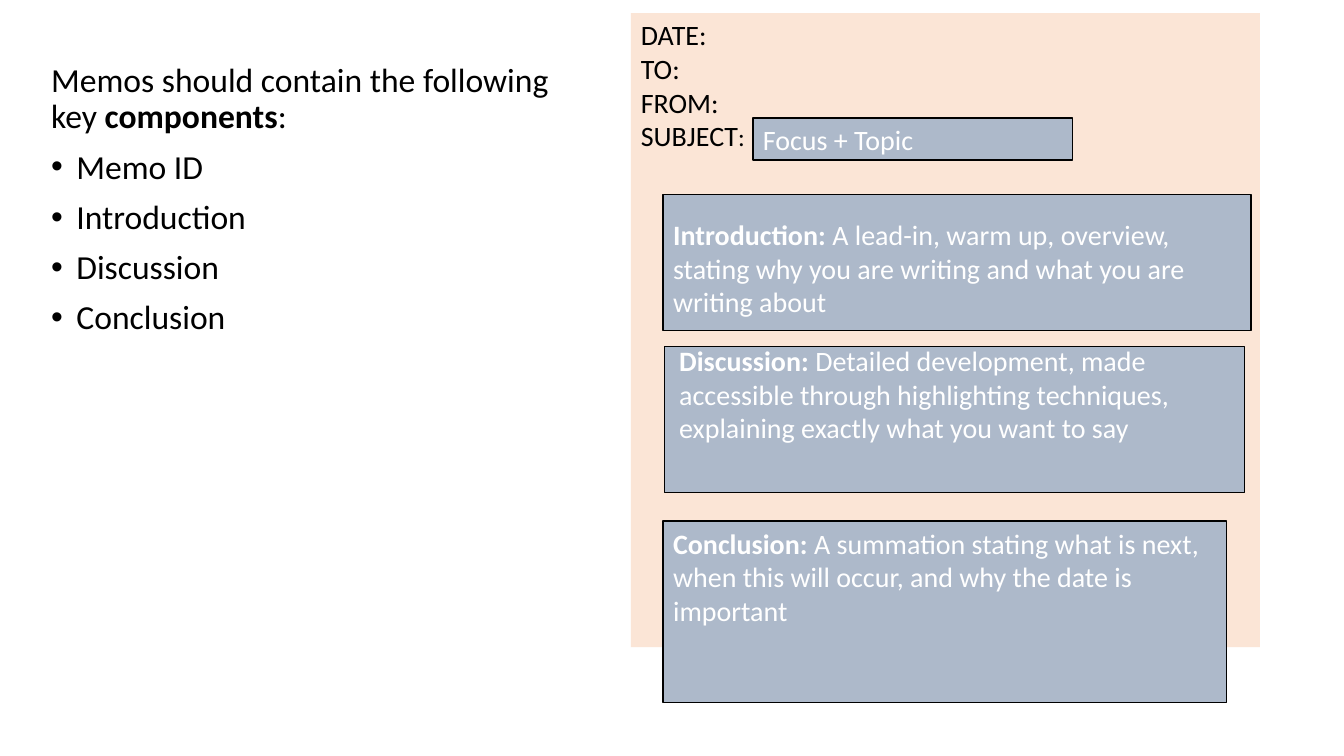
from pptx import Presentation
from pptx.dml.color import RGBColor
from pptx.enum.shapes import MSO_SHAPE
from pptx.enum.text import MSO_ANCHOR, PP_ALIGN
from pptx.oxml.ns import qn
from pptx.util import Pt
from lxml import etree

RECTANGLE = MSO_SHAPE.RECTANGLE
TOP, MIDDLE = MSO_ANCHOR.TOP, MSO_ANCHOR.MIDDLE
LEFT = PP_ALIGN.LEFT
FONT = "Calibri"
COLORS = {"text": "000000", "memo": "FBE5D6", "block": "ADB9CA", "light": "FFFFFF"}

COMPONENTS = ["Memo ID", "Introduction", "Discussion", "Conclusion"]
HEADINGS = ["DATE:", "TO:", "FROM:"]
SECTIONS = [
    ("Introduction: ",
     "A lead-in, warm up, overview, stating why you are writing and what you are writing about",
     (23, 129.6, 419.8, 97.2), (0, 13, 380.9, 79.9)),
    ("Discussion: ",
     "Detailed development, made accessible through highlighting techniques, "
     "explaining exactly what you want to say",
     (23.8, 238.3, 414.7, 104.4), (3.6, -5.8, 410.4, 105.8)),
    ("Conclusion: ",
     "A summation stating what is next, when this will occur, and why the date is important",
     (23, 362.9, 402.5, 129.6), (0, 0, 402.5, 79.9)),
]


def color(name):
    """Return the named colour."""
    return RGBColor.from_string(COLORS[name])


def add_run(paragraph, text, size, color_name, bold=False):
    """Append a formatted run to a paragraph."""
    run = paragraph.add_run()
    run.text = text
    font = run.font
    font.name, font.size, font.bold = FONT, Pt(size), bold
    font.color.rgb = color(color_name)


def add_bullet(paragraph):
    """Give a paragraph a round bullet with a hanging indent."""
    properties = paragraph._p.get_or_add_pPr()
    properties.set("marL", str(Pt(18)))
    properties.set("indent", str(Pt(-18)))
    etree.SubElement(properties, qn("a:buFont")).set("typeface", "Arial")
    etree.SubElement(properties, qn("a:buChar")).set("char", "•")


def add_text_frame(slide, left, top, width, height):
    """Add a wrapping text box and return its text frame."""
    box = slide.shapes.add_textbox(Pt(left), Pt(top), Pt(width), Pt(height))
    box.text_frame.word_wrap = True
    return box.text_frame


def add_rectangle(slide, left, top, width, height, fill, outlined=True):
    """Add a filled rectangle, outlined in black if wanted."""
    shape = slide.shapes.add_shape(RECTANGLE, Pt(left), Pt(top), Pt(width), Pt(height))
    shape.shadow.inherit = False
    shape.fill.solid()
    shape.fill.fore_color.rgb = color(fill)
    if outlined:
        shape.line.color.rgb = color("text")
        shape.line.width = Pt(1)
    else:
        shape.line.fill.background()
    return shape


def add_components(slide, left, top, width, height):
    """Place the lead sentence and the bulleted list of components."""
    frame = add_text_frame(slide, left, top, width, height)
    lead = frame.paragraphs[0]
    lead.line_spacing = 0.9
    add_run(lead, "Memos should contain the following key ", 24, "text")
    add_run(lead, "components", 24, "text", bold=True)
    add_run(lead, ":", 24, "text")
    for component in COMPONENTS:
        paragraph = frame.add_paragraph()
        paragraph.line_spacing = 0.9
        paragraph.space_before = Pt(10)
        add_bullet(paragraph)
        add_run(paragraph, component, 24, "text")


def add_section(slide, left, top, width, height, title, body, text_box):
    """Place a memo section with its text box offset from the block."""
    add_rectangle(slide, left, top, width, height, "block")
    shift_x, shift_y, text_width, text_height = text_box
    frame = add_text_frame(slide, left + shift_x, top + shift_y, text_width, text_height)
    paragraph = frame.paragraphs[0]
    add_run(paragraph, title, 20, "light", bold=True)
    add_run(paragraph, body, 20, "light")


def add_memo(slide, left, top, width, height):
    """Place the sample memo with its headings, topic and sections."""
    frame = add_rectangle(slide, left, top, width, height, "memo", outlined=False).text_frame
    frame.vertical_anchor = TOP
    paragraph = frame.paragraphs[0]
    for heading in HEADINGS:
        paragraph.alignment = LEFT
        add_run(paragraph, heading, 20, "text")
        paragraph = frame.add_paragraph()
    paragraph.alignment = LEFT
    add_run(paragraph, "SUBJECT", 20, "text")
    add_run(paragraph, ":", 18, "text")

    topic = add_rectangle(slide, left + 87.1, top + 74.9, 228.2, 30.2, "block").text_frame
    topic.vertical_anchor = MIDDLE
    topic.paragraphs[0].alignment = LEFT
    add_run(topic.paragraphs[0], "Focus + Topic", 20, "light")

    for title, body, (x, y, block_width, block_height), text_box in SECTIONS:
        add_section(slide, left + x, top + y, block_width, block_height, title, body, text_box)


def main():
    """Build and save the slide."""
    presentation = Presentation()
    presentation.slide_width, presentation.slide_height = Pt(960), Pt(540)
    slide = presentation.slides.add_slide(presentation.slide_layouts[6])
    add_components(slide, 29.5, 41.8, 398.2, 498.2)
    add_memo(slide, 450.7, 9.3, 449.3, 452.9)
    presentation.save("out.pptx")


if __name__ == "__main__":
    main()
